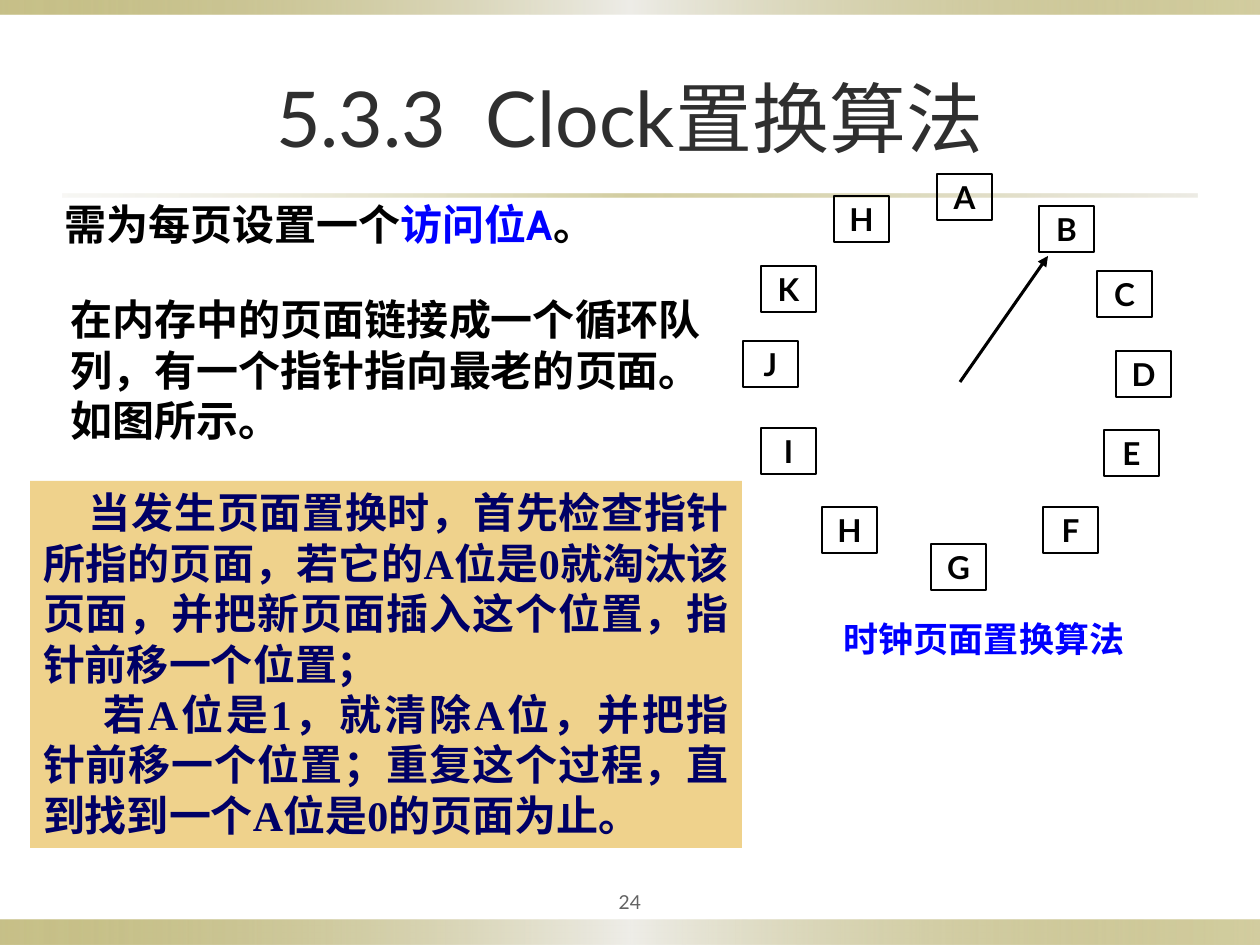
from lxml import etree
from pptx import Presentation
from pptx.dml.color import RGBColor
from pptx.enum.shapes import MSO_CONNECTOR, MSO_SHAPE
from pptx.enum.text import MSO_ANCHOR, PP_ALIGN
from pptx.oxml.ns import qn
from pptx.util import Pt

EMU_PER_PX = 914400 / 126
RECTANGLE = MSO_SHAPE.RECTANGLE
STRAIGHT = MSO_CONNECTOR.STRAIGHT
TOP, MIDDLE = MSO_ANCHOR.TOP, MSO_ANCHOR.MIDDLE
LEFT, CENTER, JUSTIFY = PP_ALIGN.LEFT, PP_ALIGN.CENTER, PP_ALIGN.JUSTIFY

COLORS = {
    "black": "000000", "blue": "0000FF", "navy": "000066", "panel": "EFD28C",
    "title": "2F2F2F", "number": "636363",
    "olive": "918415", "pale": "EEEDE8", "sand": "DCD9CC",
}
BAR_STOPS = [(0, "olive", 50), (50, "pale", 100), (100, "olive", 40)]
RULE_STOPS = [(0, "sand", 20), (50, "olive", 40), (100, "sand", 50)]

PAGE_WIDTH, PAGE_HEIGHT = 55, 46
PAGES = [
    ("A", 937, 174), ("B", 1039, 206), ("C", 1097, 271), ("D", 1116, 351),
    ("E", 1104, 430), ("F", 1043, 507), ("G", 931, 544), ("H", 822, 507),
    ("I", 761, 428), ("J", 743, 341), ("K", 761, 266), ("H", 834, 196),
]


def px(value):
    """Turn pixels into EMU."""
    return round(value * EMU_PER_PX)


def color(name):
    """Look up a named colour."""
    return RGBColor.from_string(COLORS[name])


def write_text(shape, paragraphs, size=24, font="Lato", ink="black", bold=False,
               align=LEFT, anchor=TOP, insets=(13, 6), indents=(), wrap=True):
    """Write paragraphs, each a string or a list of (text, colour) pairs."""
    frame = shape.text_frame
    frame.word_wrap = wrap
    frame.vertical_anchor = anchor
    frame.margin_left = frame.margin_right = px(insets[0])
    frame.margin_top = frame.margin_bottom = px(insets[1])
    for index, content in enumerate(paragraphs):
        paragraph = frame.add_paragraph() if index else frame.paragraphs[0]
        paragraph.alignment = align
        if indents:
            paragraph._p.get_or_add_pPr().set("indent", str(px(indents[index])))
        pieces = [(content, ink)] if isinstance(content, str) else content
        for text, piece_ink in pieces:
            run = paragraph.add_run()
            run.text = text
            run.font.size = Pt(size)
            run.font.name = font
            run.font.bold = bold
            run.font.color.rgb = color(piece_ink)


def add_text(slide, box, paragraphs, **style):
    """Add a text box."""
    shape = slide.shapes.add_textbox(*map(px, box))
    write_text(shape, paragraphs, **style)


def add_rectangle(slide, box, fill=None, line=None):
    """Add a flat rectangle with an optional fill and outline."""
    shape = slide.shapes.add_shape(RECTANGLE, *map(px, box))
    shape.shadow.inherit = False
    if fill:
        shape.fill.solid()
        shape.fill.fore_color.rgb = color(fill)
    else:
        shape.fill.background()
    if line:
        shape.line.color.rgb = color(line)
        shape.line.width = Pt(1.5)
    else:
        shape.line.fill.background()
    return shape


def add_gradient_bar(slide, box, stops):
    """Add a bar with a horizontal gradient of translucent colours."""
    shape = add_rectangle(slide, box)
    shape.fill.gradient()
    shape.fill.gradient_angle = 0
    stop_list = shape._element.spPr.find(qn("a:gradFill")).find(qn("a:gsLst"))
    for stop in list(stop_list):
        stop_list.remove(stop)
    for position, name, opacity in stops:
        stop = etree.SubElement(stop_list, qn("a:gs"), pos=str(position * 1000))
        tint = etree.SubElement(stop, qn("a:srgbClr"), val=COLORS[name])
        etree.SubElement(tint, qn("a:alpha"), val=str(opacity * 1000))


def add_page(slide, label, left, top):
    """Add one page of the circular queue."""
    shape = add_rectangle(slide, (left, top, PAGE_WIDTH, PAGE_HEIGHT), line="black")
    write_text(shape, [label], size=18, bold=True, align=CENTER, anchor=MIDDLE, wrap=False)


def add_arrow(slide, start, end):
    """Add the clock pointer."""
    connector = slide.shapes.add_connector(STRAIGHT, *map(px, start + end))
    connector.line.color.rgb = color("black")
    connector.line.width = Pt(1.75)
    etree.SubElement(connector.line._get_or_add_ln(), qn("a:tailEnd"), type="triangle")
    etree.SubElement(connector._element.spPr, qn("a:effectLst"))


def main():
    """Build and save the slide."""
    presentation = Presentation()
    presentation.slide_width, presentation.slide_height = px(1260), px(945)
    slide = presentation.slides.add_slide(presentation.slide_layouts[6])

    add_gradient_bar(slide, (0, 920, 1260, 25), BAR_STOPS)
    add_gradient_bar(slide, (0, 0, 1260, 15), BAR_STOPS)
    add_gradient_bar(slide, (63, 194, 1134, 3), RULE_STOPS)
    add_text(slide, (63, 38, 1134, 158), ["5.3.3  Clock置换算法"],
             size=44, ink="title", align=CENTER, anchor=MIDDLE)

    panel = add_rectangle(slide, (30, 481, 712, 367), fill="panel")
    write_text(panel, [
        "当发生页面置换时，首先检查指针所指的页面，若它的A位是0就淘汰该页面，并把新页面插入这个位置，指针前移一个位置；",
        "若A位是1，就清除A位，并把指针前移一个位置；重复这个过程，直到找到一个A位是0的页面为止。",
    ], font="Times New Roman", ink="navy", bold=True, align=JUSTIFY, indents=(46, 60))
    add_text(slide, (567, 882, 126, 39), ["24"], size=11, ink="number",
             align=CENTER, anchor=MIDDLE, insets=(6, 6))

    add_text(slide, (52, 193, 976, 63),
             [[("需为每页设置一个", "black"), ("访问位A", "blue"), ("。", "black")]],
             font="Cabin", bold=True)
    add_text(slide, (58, 288, 663, 165),
             ["在内存中的页面链接成一个循环队列，有一个指针指向最老的页面。如图所示。"],
             font="Times New Roman", bold=True)

    for page in PAGES:
        add_page(slide, *page)
    add_arrow(slide, (960, 382), (1048, 256))
    add_text(slide, (743, 611, 474, 54), [" 时钟页面置换算法"], size=20, font="Cabin",
             ink="blue", bold=True, align=CENTER, insets=(3, 6))

    presentation.save("out.pptx")


if __name__ == "__main__":
    main()
